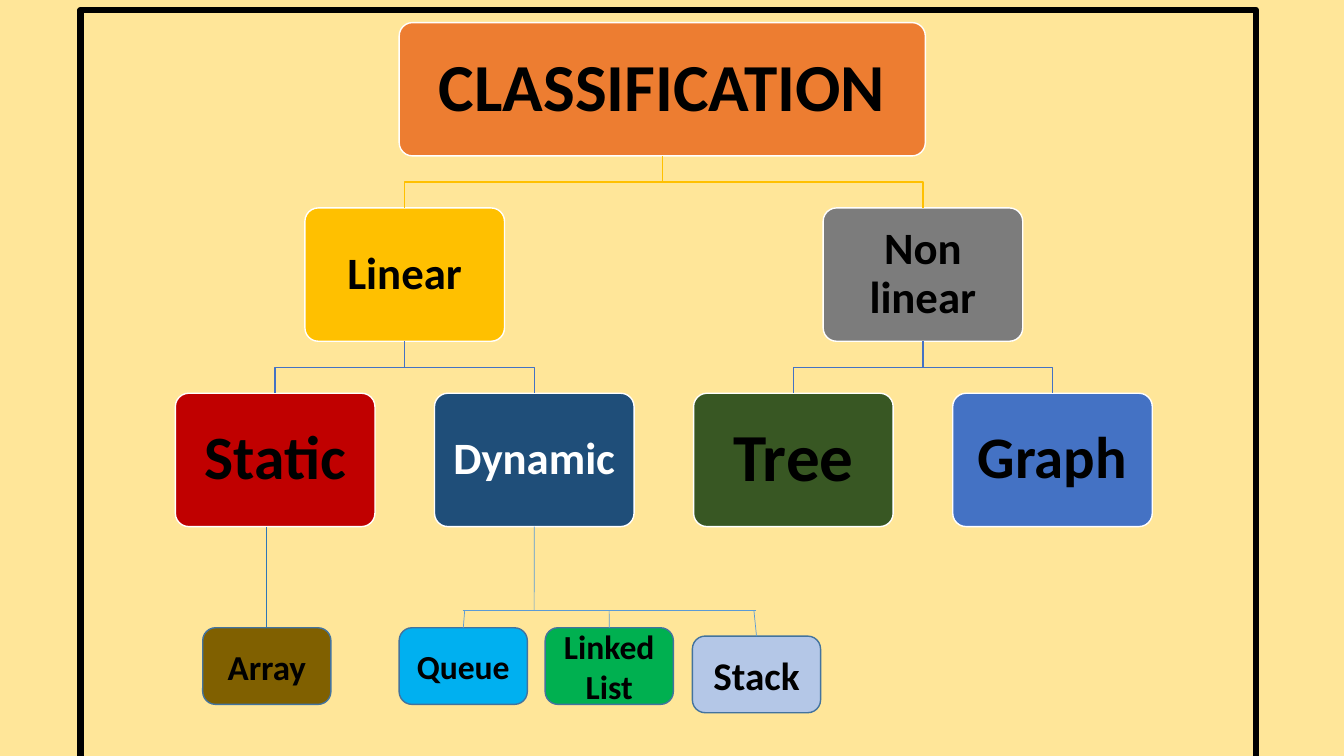
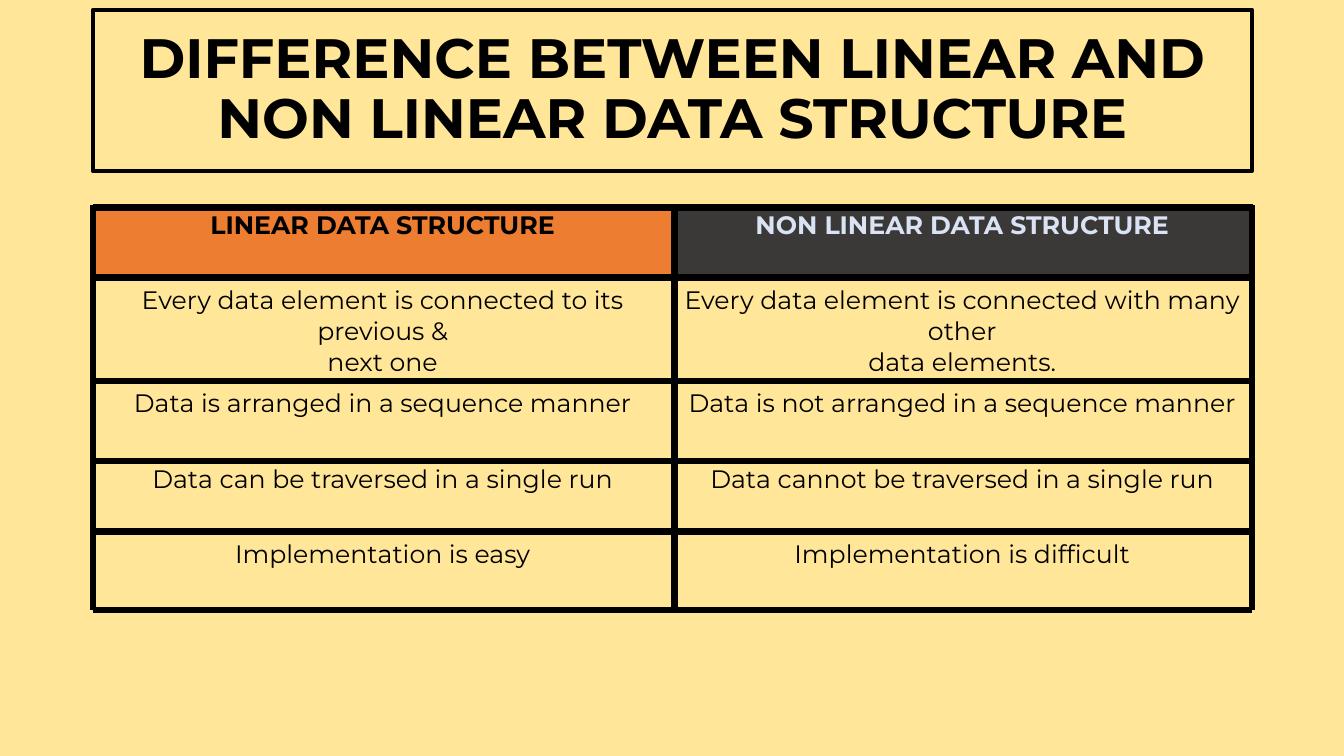
from pptx import Presentation
from pptx.dml.color import RGBColor
from pptx.enum.shapes import MSO_CONNECTOR, MSO_SHAPE
from pptx.enum.text import MSO_ANCHOR, MSO_AUTO_SIZE, PP_ALIGN
from pptx.oxml import parse_xml
from pptx.oxml.ns import nsdecls, qn
from pptx.util import Cm, Pt

CREAM = RGBColor(0xFF, 0xE6, 0x99)
BLACK = RGBColor(0, 0, 0)
WHITE = RGBColor(0xFF, 0xFF, 0xFF)
ORANGE = RGBColor(0xED, 0x7D, 0x31)
GOLD = RGBColor(0xFF, 0xC0, 0x00)
GREY = RGBColor(0x7C, 0x7C, 0x7C)
RED = RGBColor(0xC0, 0x00, 0x00)
NAVY = RGBColor(0x1F, 0x4E, 0x79)
FOREST = RGBColor(0x38, 0x57, 0x23)
BLUE = RGBColor(0x44, 0x72, 0xC4)
BROWN = RGBColor(0x80, 0x60, 0x00)
SKY = RGBColor(0x00, 0xB0, 0xF0)
GREEN = RGBColor(0x00, 0xB0, 0x50)
PALE_BLUE = RGBColor(0xB4, 0xC7, 0xE7)
EDGE_BLUE = RGBColor(0x43, 0x73, 0x9E)
STEEL = RGBColor(0x2E, 0x75, 0xB6)
LIGHT_STEEL = RGBColor(0x5B, 0x9B, 0xD5)
CHARCOAL = RGBColor(0x3B, 0x38, 0x38)
ICE = RGBColor(0xDA, 0xE3, 0xF3)

TITLE_ONLY = 5
NODE_W, NODE_H = 5.03, 3.36
LEAF_W, LEAF_H = 3.23, 1.93

BRANCHES = [("Linear", GOLD), ("Non linear", GREY)]
KINDS = [
    ("Static", RED, 44, BLACK),
    ("Dynamic", NAVY, 32, WHITE),
    ("Tree", FOREST, 48, BLACK),
    ("Graph", BLUE, 42, BLACK),
]
ROWS = [
    ("LINEAR DATA STRUCTURE", "NON LINEAR DATA STRUCTURE"),
    ("Every data element is connected to its previous &\nnext one",
     "Every data element is connected with many other\ndata elements."),
    ("Data is arranged in a sequence manner",
     "Data is not arranged in a sequence manner"),
    ("Data can be traversed in a single run",
     "Data cannot be traversed in a single run"),
    ("Implementation is easy", "Implementation is difficult"),
]


def put_text(tf, text, size=32, font="Calibri", color=BLACK, bold=True, spacing=None):
    for i, line in enumerate(text.split("\n")):
        p = tf.add_paragraph() if i else tf.paragraphs[0]
        p.alignment = PP_ALIGN.CENTER
        if spacing:
            p.line_spacing = spacing
        r = p.add_run()
        r.text = line
        r.font.size = Pt(size)
        r.font.name = font
        r.font.bold = bold
        r.font.color.rgb = color


def style(sp, fill=None, line=BLACK, width=1):
    if fill is None:
        sp.fill.background()
    else:
        sp.fill.solid()
        sp.fill.fore_color.rgb = fill
    if line is None:
        sp.line.fill.background()
    else:
        sp.line.color.rgb = line
        sp.line.width = Pt(width)
    sp.shadow.inherit = False


def set_frame(tf, inset=None):
    tf.word_wrap = True
    tf.auto_size = MSO_AUTO_SIZE.NONE
    tf.vertical_anchor = MSO_ANCHOR.MIDDLE
    if inset is not None:
        tf.margin_left = tf.margin_right = Cm(inset)
        tf.margin_top = tf.margin_bottom = Cm(inset)


def add_rounded(s, box, fill, line=WHITE, adj=None):
    sp = s.shapes.add_shape(MSO_SHAPE.ROUNDED_RECTANGLE, *map(Cm, box))
    if adj is not None:
        sp.adjustments[0] = adj
    style(sp, fill, line)
    return sp


def add_box(s, box, text, fill, line=WHITE, inset=None, adj=None, **fmt):
    sp = add_rounded(s, box, fill, line, adj)
    set_frame(sp.text_frame, inset)
    put_text(sp.text_frame, text, **fmt)
    return sp


def add_title(s, box, text, line=None, width=1, **fmt):
    sp = s.shapes.title
    sp.left, sp.top, sp.width, sp.height = map(Cm, box)
    style(sp, line=line, width=width)
    set_frame(sp.text_frame)
    put_text(sp.text_frame, text, spacing=0.9, **fmt)
    return sp


def add_line(s, x1, y1, x2, y2, color=BLACK, width=4.5, begin=None, end=None):
    c = s.shapes.add_connector(MSO_CONNECTOR.STRAIGHT, Cm(x1), Cm(y1), Cm(x2), Cm(y2))
    if begin:
        c.begin_connect(begin, 2)
    if end:
        c.end_connect(end, 0)
    c.line.color.rgb = color
    c.line.width = Pt(width)
    c.element.spPr.append(parse_xml(f'<a:effectLst {nsdecls("a")}/>'))


def add_elbow(s, parent, child, color):
    x1, y1 = parent.left + parent.width // 2, parent.top + parent.height
    x2, y2 = child.left + child.width // 2, child.top
    mid = (y1 + y2) // 2
    fb = s.shapes.build_freeform(x1, y1, scale=1.0)
    fb.add_line_segments([(x1, mid), (x2, mid), (x2, y2)], close=False)
    style(fb.convert_to_shape(), line=color)


def draw_tree(s, x, y, w, h):
    col, level = (w - NODE_W) / 3, (h - NODE_H) / 2
    node = {"inset": 0.33, "adj": 0.1, "spacing": 0.9}
    root_box = (x + 5.64, y, 13.26, NODE_H)
    root = add_rounded(s, root_box, ORANGE, adj=0.1)
    title = add_title(s, root_box, "CLASSIFICATION", size=48)
    root.element.addnext(title.element)
    branches = []
    for i, (text, fill) in enumerate(BRANCHES):
        box = (x + (2 * i + 0.5) * col, y + level, NODE_W, NODE_H)
        branches.append(add_box(s, box, text, fill, **node))
        add_elbow(s, root, branches[i], GOLD)
    kinds = []
    for i, (text, fill, size, color) in enumerate(KINDS):
        box = (x + i * col, y + 2 * level, NODE_W, NODE_H)
        kinds.append(add_box(s, box, text, fill, size=size, color=color, **node))
        add_elbow(s, branches[i // 2], kinds[i], BLUE)
    return kinds[1]


def draw_examples(s, x, y, dynamic):
    top = y + 0.43
    array = add_box(s, (x, top, LEAF_W, LEAF_H), "Array", BROWN, EDGE_BLUE, size=25)
    add_line(s, x + LEAF_W / 2, y - 2.11, x + LEAF_W / 2, top, STEEL, 0.5, end=array)
    add_line(s, x + 8.35, y - 2.11, x + 8.35, y, LIGHT_STEEL, 0.5, begin=dynamic)
    add_line(s, x + 6.55, y, x + 13.94, y, LIGHT_STEEL, 0.5)
    for text, fill, size, dx, dy, start in [
        ("Queue", SKY, 24, 4.95, 0, 6.6),
        ("Linked List", GREEN, 24, 8.63, 0, 10.24),
        ("Stack", PALE_BLUE, 28, 12.34, 0.21, 13.89),
    ]:
        leaf = add_box(s, (x + dx, top + dy, LEAF_W, LEAF_H), text, fill, EDGE_BLUE, size=size)
        add_line(s, x + start, y, x + dx, top, LIGHT_STEEL, 0.5, end=leaf)


def draw_table(s, x, y, w, h):
    frame = s.shapes.add_table(len(ROWS), 2, Cm(x), Cm(y), Cm(w), Cm(h))
    table = frame.table
    table.horz_banding = False
    for tc in frame.element.iter(qn("a:tc")):
        for side in ("lnL", "lnR", "lnT", "lnB"):
            tc.get_or_add_tcPr().append(parse_xml(
                f'<a:{side} {nsdecls("a")} w="6350"><a:solidFill>'
                f'<a:srgbClr val="{BLACK}"/></a:solidFill></a:{side}>'))
    for i, texts in enumerate(ROWS):
        table.rows[i].height = Cm(2.6 if i == 1 else (h - 2.6) / 4)
        for j, text in enumerate(texts):
            cell = table.cell(i, j)
            if i == 0:
                cell.fill.solid()
                cell.fill.fore_color.rgb = (ORANGE, CHARCOAL)[j]
            else:
                cell.fill.background()
            put_text(cell.text_frame, text, size=18, font="Montserrat", bold=i == 0,
                     color=ICE if (i, j) == (0, 1) else BLACK)
    for dx in (0, 14.66, w):
        add_line(s, x + dx, y, x + dx, y + h)
    for dy in (0.08, 1.83, 4.44, 6.45, 8.23, h):
        add_line(s, x, y + dy, x + w, y + dy)


def classification_slide(prs):
    s = prs.slides.add_slide(prs.slide_layouts[TITLE_ONLY])
    dynamic = draw_tree(s, 4.42, 0.57, 24.62, 12.7)
    draw_examples(s, 5.11, 15.39, dynamic)
    border = s.shapes.add_shape(MSO_SHAPE.RECTANGLE, Cm(2.03), Cm(0.25), Cm(29.62), Cm(19.15))
    style(border, width=4.5)


def difference_slide(prs):
    s = prs.slides.add_slide(prs.slide_layouts[TITLE_ONLY])
    add_title(s, (2.34, 0.25, 29.21, 4.06),
              "DIFFERENCE BETWEEN LINEAR AND NON LINEAR DATA STRUCTURE",
              line=BLACK, width=3, size=39.6, font="Montserrat")
    draw_table(s, 2.34, 5.16, 29.21, 10.21)


def main():
    prs = Presentation()
    prs.slide_width, prs.slide_height = Cm(33.87), Cm(19.05)
    bg = prs.slide_master.background.fill
    bg.solid()
    bg.fore_color.rgb = CREAM
    classification_slide(prs)
    difference_slide(prs)
    prs.save("out.pptx")


if __name__ == "__main__":
    main()
